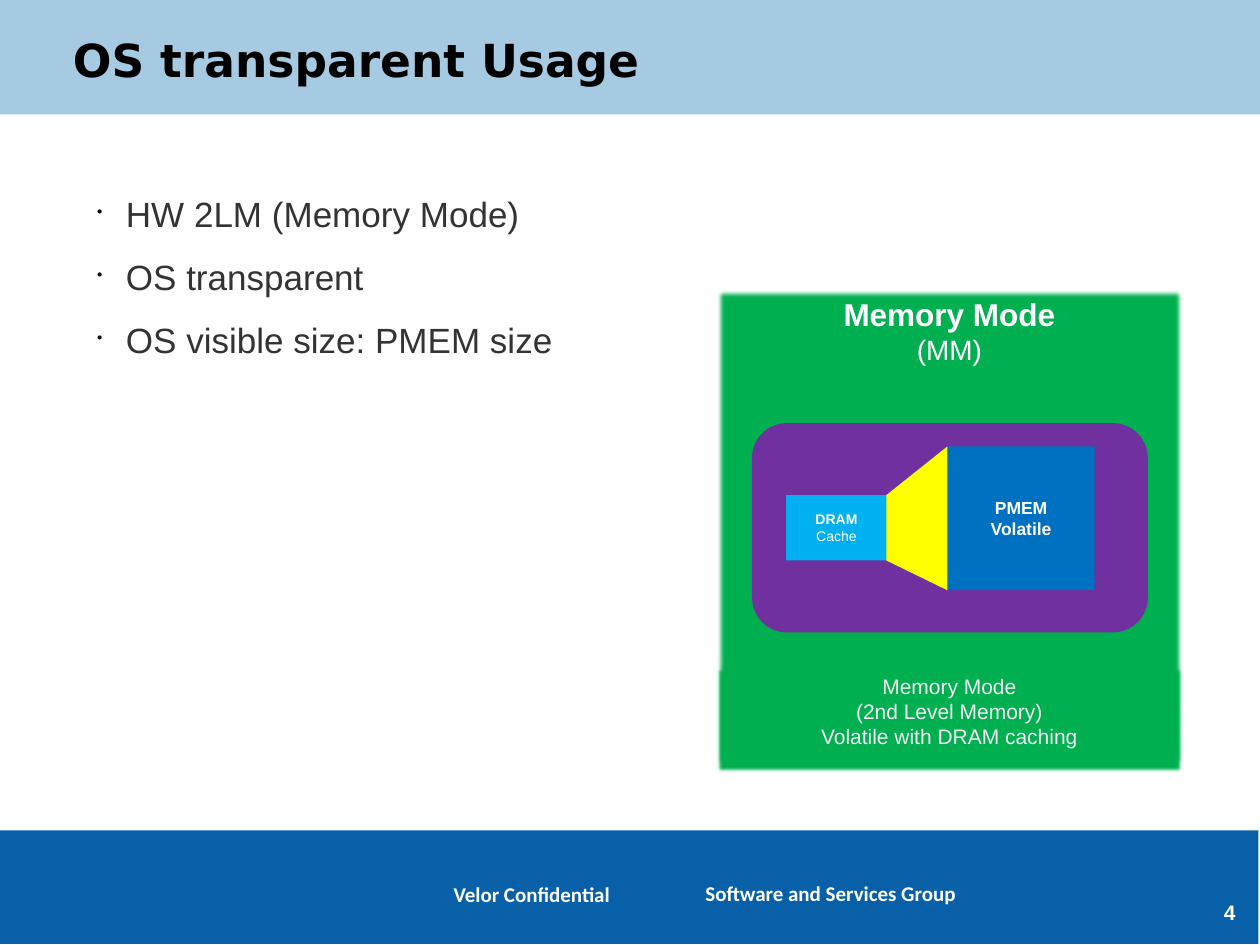
from lxml.etree import SubElement
from pptx import Presentation
from pptx.dml.color import RGBColor
from pptx.enum.shapes import MSO_SHAPE as Shape
from pptx.enum.text import MSO_ANCHOR as Anchor, PP_ALIGN as Align
from pptx.oxml.ns import qn
from pptx.util import Cm, Pt

BLACK = RGBColor(0x00, 0x00, 0x00)
WHITE = RGBColor(0xFF, 0xFF, 0xFF)
PALE_WHITE = RGBColor(0xF2, 0xF2, 0xF2)
CHARCOAL = RGBColor(0x33, 0x33, 0x33)
HEADER_BLUE = RGBColor(0xA6, 0xCA, 0xE1)
FOOTER_BLUE = RGBColor(0x08, 0x60, 0xA8)
GREEN = RGBColor(0x00, 0xB0, 0x50)
PURPLE = RGBColor(0x70, 0x30, 0xA0)
SKY_BLUE = RGBColor(0x00, 0xB0, 0xF0)
DEEP_BLUE = RGBColor(0x00, 0x70, 0xC0)
YELLOW = RGBColor(0xFF, 0xFF, 0x00)

DEFAULT_INSETS = (0.25, 0.13, 0.25, 0.13)
NO_INSETS = (0, 0, 0, 0)


def set_values(target, values):
    """Set each named attribute of the target."""
    for name, value in values.items():
        setattr(target, name, value)


def write_lines(shape, lines, insets=DEFAULT_INSETS, anchor=Anchor.TOP, **layout):
    """Write one paragraph per (text, size, colour, bold, font) line."""
    frame = shape.text_frame
    left, top, right, bottom = map(Cm, insets)
    set_values(frame, dict(margin_left=left, margin_top=top, margin_right=right,
                           margin_bottom=bottom, word_wrap=True, vertical_anchor=anchor))
    for index, (text, size, colour, bold, font) in enumerate(lines):
        paragraph = frame.add_paragraph() if index else frame.paragraphs[0]
        set_values(paragraph, {"alignment": Align.CENTER, **layout})
        run = paragraph.add_run()
        run.text = text
        set_values(run.font, dict(size=Pt(size), bold=bold, name=font))
        run.font.color.rgb = colour


def paint(shape, colour):
    """Give a shape a plain fill without line or shadow."""
    shape.shadow.inherit = False
    shape.fill.solid()
    shape.fill.fore_color.rgb = colour
    shape.line.fill.background()


def add_block(shapes, box, colour, kind=Shape.RECTANGLE):
    """Add a filled preset shape."""
    block = shapes.add_shape(kind, *map(Cm, box))
    paint(block, colour)
    return block


def add_label(slide, box, lines, **layout):
    """Add a text box holding the given lines."""
    label = slide.shapes.add_textbox(*map(Cm, box))
    write_lines(label, lines, **layout)
    return label


def soften_edges(shape, radius):
    """Blur the outline of a shape inwards."""
    effects = shape._element.spPr.find(qn("a:effectLst"))
    SubElement(effects, qn("a:softEdge"), rad=str(radius))


def add_bullet(paragraph):
    """Give a paragraph a small black bullet with a hanging indent."""
    properties = paragraph._p.get_or_add_pPr()
    properties.set("marL", str(Cm(0.61)))
    properties.set("indent", str(Cm(-0.58)))
    colour = SubElement(properties, qn("a:buClr"))
    SubElement(colour, qn("a:srgbClr"), val=str(BLACK))
    SubElement(properties, qn("a:buSzPct"), val="45000")
    SubElement(properties, qn("a:buChar"), char="•")


def add_title(slide):
    """Place and format the slide title."""
    title = slide.shapes.title
    set_values(title, dict(left=Cm(1.47), top=Cm(0.64), width=Cm(22.99), height=Cm(1.68)))
    write_lines(title, [("OS transparent Usage", 26, BLACK, True, "DejaVu Sans")],
                insets=NO_INSETS, alignment=Align.LEFT)


def add_footer(slide):
    """Add the footer band with its labels and page number."""
    add_block(slide.shapes, (0, 16.74, 25.37, 2.29), FOOTER_BLUE)
    add_label(slide, (13.97, 17.63, 7.7, 0.76),
              [("Software and Services Group", 12, WHITE, True, "Calibri")],
              alignment=Align.LEFT, space_before=Pt(6.2))
    add_label(slide, (6.91, 17.65, 7.62, 0.76),
              [("Velor Confidential", 12, WHITE, True, "Calibri")], space_before=Pt(7.5))
    add_label(slide, (24.18, 17.17, 1.22, 1.47), [("4", 12, WHITE, True, "Arial")],
              insets=NO_INSETS, anchor=Anchor.BOTTOM)


def add_points(slide):
    """Add the bulleted list."""
    points = ("HW 2LM (Memory Mode)", "OS transparent", "OS visible size: PMEM size")
    body = add_label(slide, (1.68, 3.33, 22.89, 12.95),
                     [(point, 20, CHARCOAL, False, "Arial") for point in points],
                     alignment=Align.LEFT, line_spacing=1.5)
    for paragraph in body.text_frame.paragraphs:
        add_bullet(paragraph)


def add_funnel(shapes, left, right, cache_edge, memory_edge):
    """Add the funnel that widens from the cache to the memory."""
    corners = [(left, cache_edge[0]), (left, cache_edge[1]),
               (right, memory_edge[1]), (right, memory_edge[0])]
    start, *others = [(Cm(x), Cm(y)) for x, y in corners]
    builder = shapes.build_freeform(*start)
    builder.add_line_segments(others, close=True)
    paint(builder.convert_to_shape(), YELLOW)


def add_memory_group(slide):
    """Add the grouped diagram of the DRAM cache and the volatile memory."""
    shapes = slide.shapes.add_group_shape().shapes
    add_block(shapes, (15.16, 8.53, 7.98, 4.22), PURPLE, Shape.ROUNDED_RECTANGLE)
    cache = add_block(shapes, (15.85, 9.98, 2.03, 1.32), SKY_BLUE)
    write_lines(cache, [("DRAM", 8, WHITE, True, "Arial"),
                        ("Cache", 8, WHITE, False, "Arial")], anchor=Anchor.MIDDLE)
    memory = add_block(shapes, (19.1, 9, 2.97, 2.9), DEEP_BLUE)
    write_lines(memory, [("PMEM", 10, WHITE, True, "Arial"),
                         ("Volatile", 10, WHITE, True, "Arial")], anchor=Anchor.MIDDLE)
    add_funnel(shapes, 17.87, 19.1, (9.98, 11.3), (9, 11.9))


def add_memory_mode(slide):
    """Add the Memory Mode panel, its diagram and its caption."""
    panel = add_block(slide.shapes, (14.43, 5.82, 9.42, 9.63), GREEN)
    write_lines(panel, [("Memory Mode", 18, WHITE, True, "Arial"),
                        ("(MM)", 16, WHITE, False, "Arial")], insets=(0, 0.13, 0, 0.13))
    add_memory_group(slide)
    caption = add_block(slide.shapes, (14.43, 13.44, 9.42, 2.16), GREEN)
    remarks = ("Memory Mode", "(2nd Level Memory)", "Volatile with DRAM caching")
    write_lines(caption, [(remark, 12, PALE_WHITE, False, "Arial") for remark in remarks])
    for block in (panel, caption):
        soften_edges(block, Pt(2.5))


def main():
    """Build the slide and save it."""
    deck = Presentation()
    set_values(deck, dict(slide_width=Cm(25.4), slide_height=Cm(19.05)))
    slide = deck.slides.add_slide(deck.slide_layouts[5])
    add_footer(slide)
    header = add_block(slide.shapes, (0, 0, 25.4, 2.31), HEADER_BLUE)
    add_title(slide)
    header._element.addnext(slide.shapes.title._element)
    add_points(slide)
    add_memory_mode(slide)
    deck.save("out.pptx")


if __name__ == "__main__":
    main()
